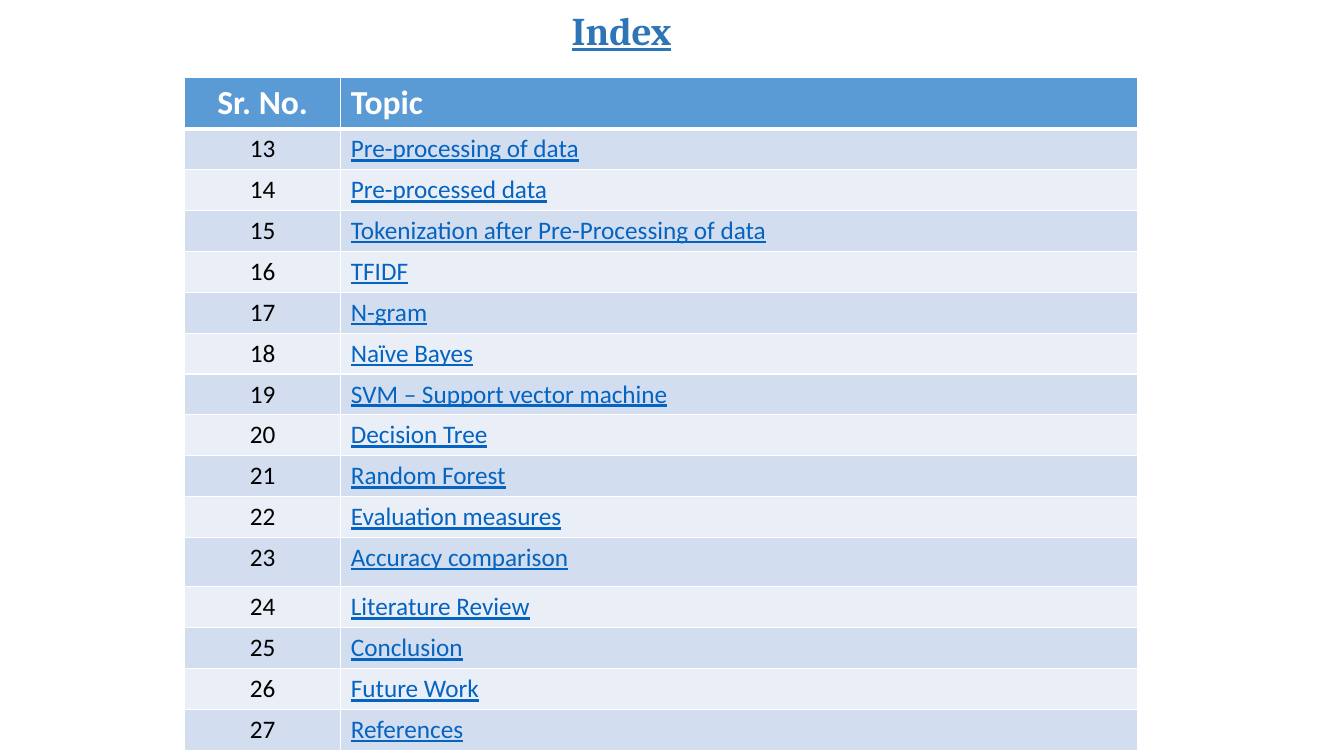
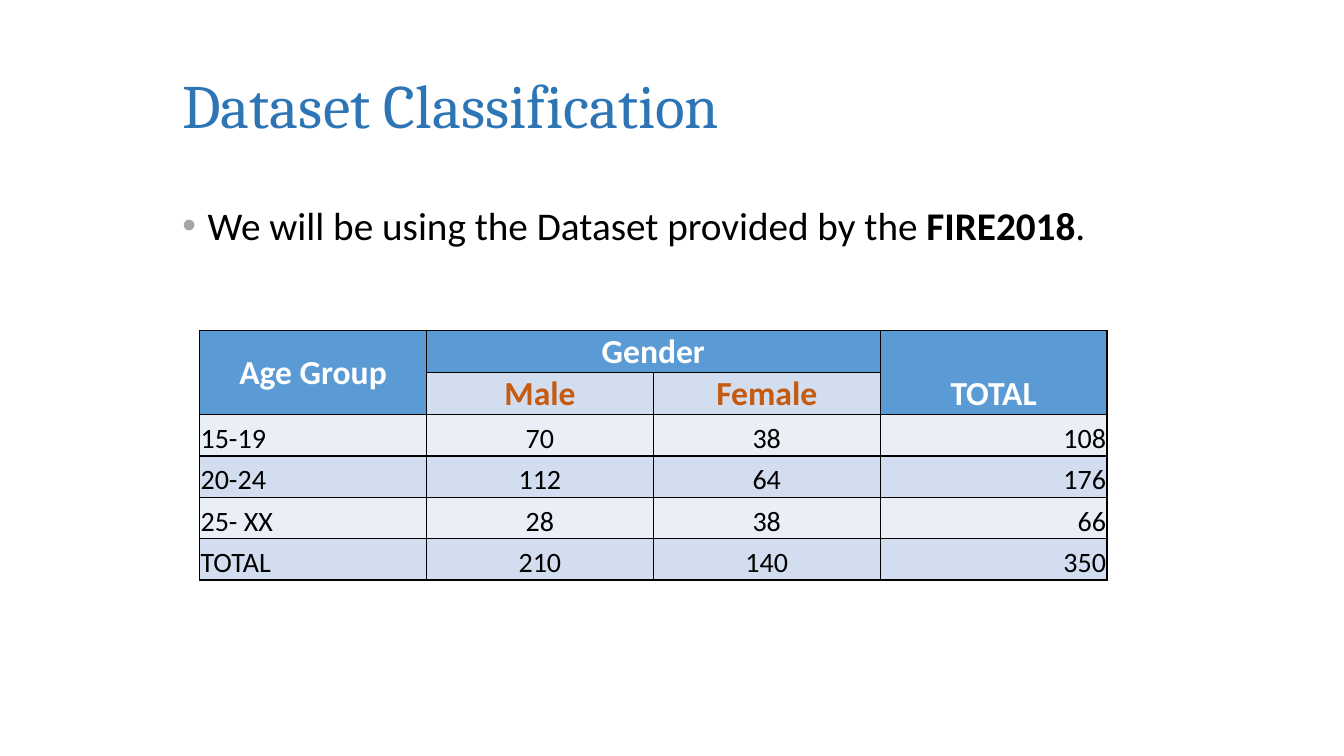
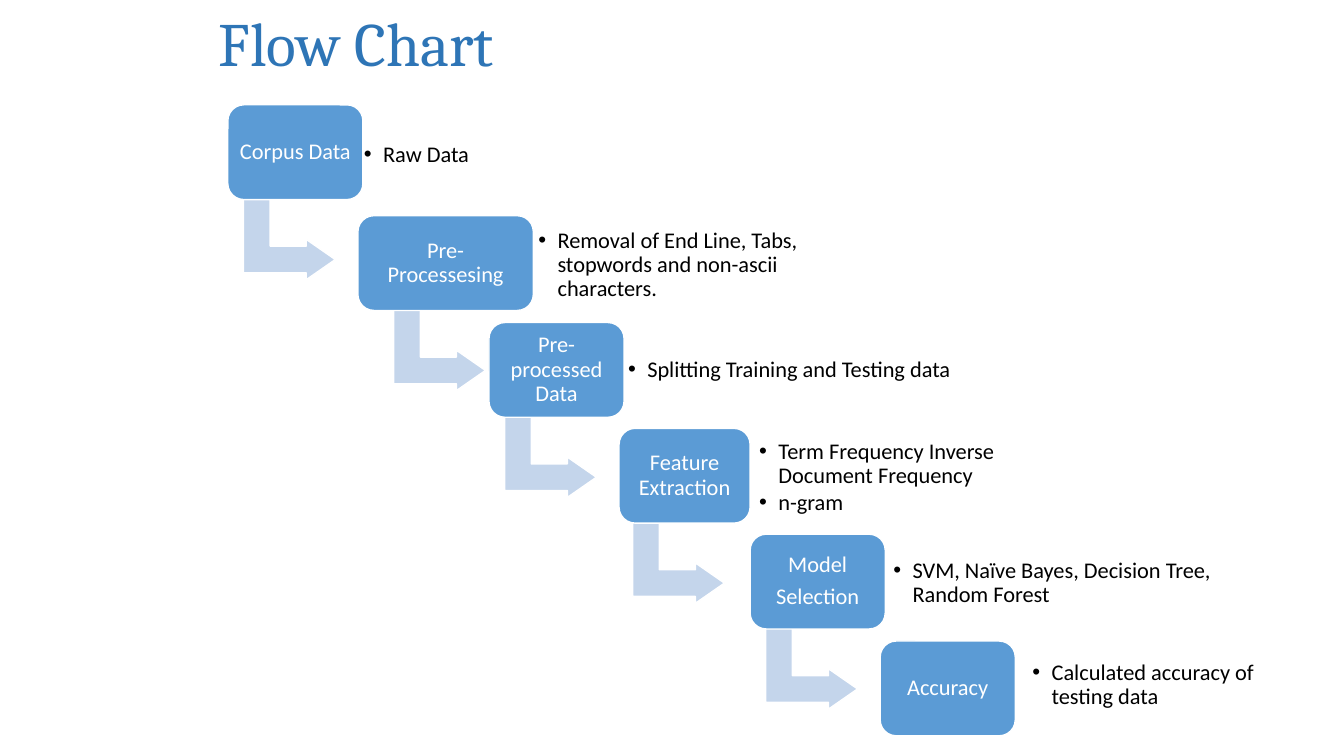
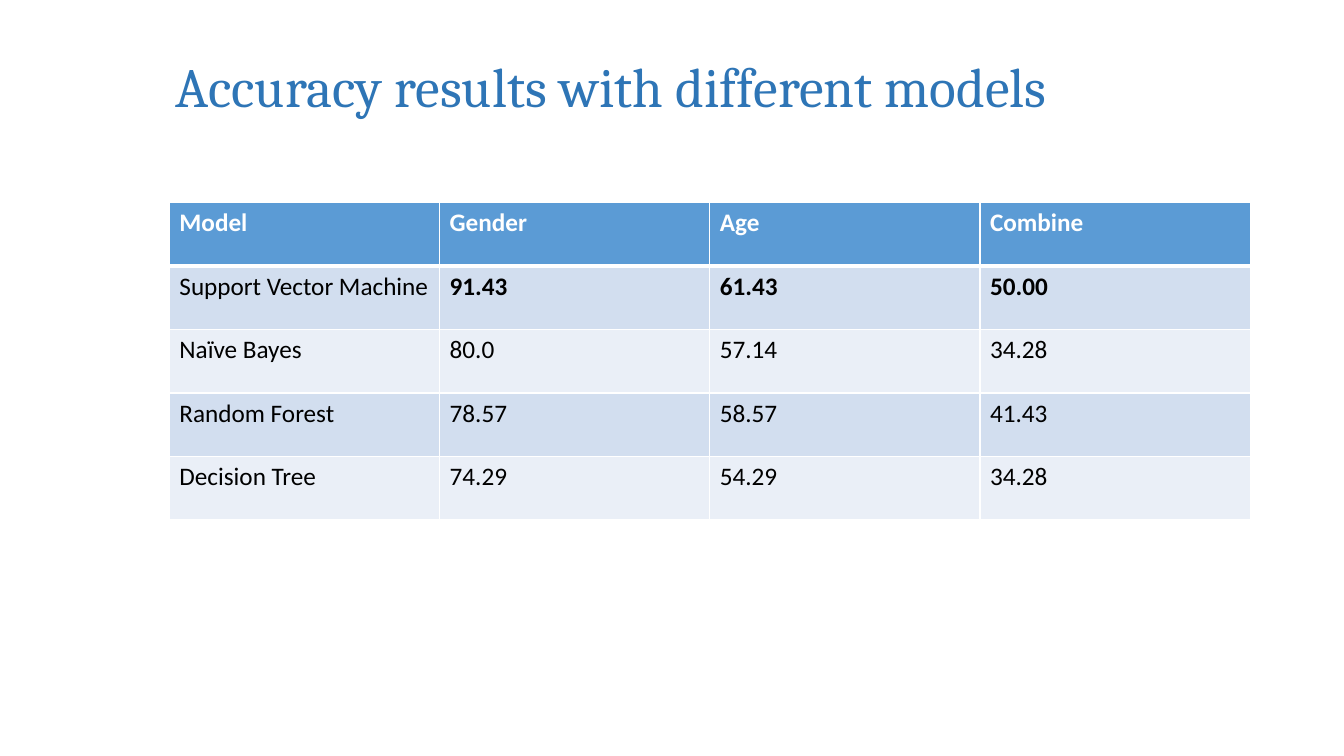
from dataclasses import dataclass

from lxml import etree
from pptx import Presentation
from pptx.dml.color import RGBColor
from pptx.enum.shapes import MSO_SHAPE
from pptx.enum.text import MSO_ANCHOR, MSO_AUTO_SIZE, PP_ALIGN
from pptx.oxml.ns import qn
from pptx.util import Emu, Pt

LEFT, CENTER, RIGHT = PP_ALIGN.LEFT, PP_ALIGN.CENTER, PP_ALIGN.RIGHT
TOP, MIDDLE, BOTTOM = MSO_ANCHOR.TOP, MSO_ANCHOR.MIDDLE, MSO_ANCHOR.BOTTOM
NO_FIT = MSO_AUTO_SIZE.NONE
ROUNDED, BENT_ARROW = MSO_SHAPE.ROUNDED_RECTANGLE, MSO_SHAPE.BENT_UP_ARROW
CONTENT_LAYOUT, TITLE_LAYOUT = 1, 5


@dataclass(frozen=True)
class Theme:
    heading_font: str = "Cambria"
    body_font: str = "Calibri"
    title: str = "2E75B6"
    accent: str = "5B9BD5"
    band_dark: str = "D2DEEF"
    band_light: str = "EAEFF7"
    arrow: str = "C4D5EB"
    entry: str = "0563C1"
    gender: str = "C55A11"
    bullet: str = "A5A5A5"
    text: str = "000000"
    white: str = "FFFFFF"
    title_size: float = 44
    index_title_size: float = 28
    long_title_size: float = 39.6
    body_size: float = 28
    head_size: float = 24
    count_size: float = 20
    cell_size: float = 18
    flow_size: float = 16


THEME = Theme()

# Content
FIRST_TOPIC = 13
TOPICS = [
    "Pre-processing of data", "Pre-processed data",
    "Tokenization after Pre-Processing of data", "TFIDF", "N-gram",
    "Naïve Bayes", "SVM – Support vector machine", "Decision Tree",
    "Random Forest", "Evaluation measures", "Accuracy comparison",
    "Literature Review", "Conclusion", "Future Work", "References",
]
TALL_TOPIC = "Accuracy comparison"

DATASET_NOTE = [("We will be using the Dataset provided by the ", False),
                ("FIRE2018", True), (".", False)]
DATASET = [
    ("Age Group", "Gender", "", "TOTAL"),
    ("", "Male", "Female", ""),
    ("15-19", "70", "38", "108"),
    ("20-24", "112", "64", "176"),
    ("25- XX", "28", "38", "66"),
    ("TOTAL", "210", "140", "350"),
]
DATASET_MERGES = [((0, 0), (1, 0)), ((0, 1), (0, 2)), ((0, 3), (1, 3))]

# Step label, box width, notes, place of the notes
FLOW = [
    (["Corpus Data"], 134, ["Raw Data"], (354, 100, 173, 108)),
    (["Pre-Processesing"], 174,
     ["Removal of End Line, Tabs, stopwords and non-ascii characters."],
     (527, 211, 287, 104)),
    (["Pre-processed Data"], 134, ["Splitting Training and Testing data"],
     (616, 329, 357, 76)),
    (["Feature Extraction"], 130,
     ["Term Frequency Inverse Document Frequency", "n-gram"],
     (746, 436, 299, 76)),
    (["Model", "Selection"], 134,
     ["SVM, Naïve Bayes, Decision Tree, Random Forest"],
     (879, 541, 348, 76)),
    (["Accuracy"], 134, ["Calculated accuracy of testing data"],
     (1017, 642, 261, 76)),
]

RESULTS = [
    ("Model", "Gender", "Age", "Combine"),
    ("Support Vector Machine", "91.43", "61.43", "50.00"),
    ("Naïve Bayes", "80.0", "57.14", "34.28"),
    ("Random Forest", "78.57", "58.57", "41.43"),
    ("Decision Tree", "74.29", "54.29", "34.28"),
]
BEST_ROW = 1


# Shared helpers
def px(length):
    """Hundredths of an inch to EMU."""
    return Emu(length * 9144)


def place(shape, left, top, width, height):
    shape.left, shape.top = px(left), px(top)
    shape.width, shape.height = px(width), px(height)


def style(span, size, color, font=THEME.body_font, bold=False, underline=False):
    span.font.name, span.font.size = font, Pt(size)
    span.font.color.rgb = RGBColor.from_string(color)
    span.font.bold, span.font.underline = bold, underline


def add_bullet(para, indent, color):
    props = para._p.get_or_add_pPr()
    props.set("marL", str(px(indent)))
    props.set("indent", str(-px(indent)))
    tint = etree.SubElement(props, qn("a:buClr"))
    etree.SubElement(tint, qn("a:srgbClr"), val=color)
    etree.SubElement(props, qn("a:buFont"), typeface="Arial")
    etree.SubElement(props, qn("a:buChar"), char="•")


def new_page(deck, title, at, size=THEME.title_size, layout=TITLE_LAYOUT,
             **look):
    page = deck.slides.add_slide(deck.slide_layouts[layout])
    place(page.shapes.title, *at)
    frame = page.shapes.title.text_frame
    frame.text = title
    frame.auto_size, frame.vertical_anchor = NO_FIT, MIDDLE
    para = frame.paragraphs[0]
    para.alignment, para.line_spacing = LEFT, 0.9
    style(para.runs[0], size, THEME.title, THEME.heading_font, **look)
    return page


def set_borders(cell, color, widths):
    props = cell._tc.get_or_add_tcPr()
    for position, (side, width) in enumerate(zip("LRTB", widths)):
        line = etree.Element(qn(f"a:ln{side}"), w=str(Pt(width)))
        fill = etree.SubElement(line, qn("a:solidFill"))
        etree.SubElement(fill, qn("a:srgbClr"), val=color)
        props.insert(position, line)


def band(row):
    return THEME.band_dark if row % 2 else THEME.band_light


def add_grid(page, left, top, widths, heights, rows, look, border=THEME.white,
             head_rule=3, insets=None, anchor=TOP):
    """look(row, column) gives fill, alignment and run style of a cell."""
    grid = page.shapes.add_table(len(rows), len(widths), px(left), px(top),
                                 px(sum(widths)), px(sum(heights))).table
    for column, width in zip(grid.columns, widths):
        column.width = px(width)
    for line, height in zip(grid.rows, heights):
        line.height = px(height)
    for r, row in enumerate(rows):
        for c, text in enumerate(row):
            cell = grid.cell(r, c)
            fill, align, run_style = look(r, c)
            cell.fill.solid()
            cell.fill.fore_color.rgb = RGBColor.from_string(fill)
            set_borders(cell, border, (1, 1, head_rule if r == 1 else 1,
                                       head_rule if r == 0 else 1))
            cell.vertical_anchor = anchor
            if insets:
                (cell.margin_left, cell.margin_top, cell.margin_right,
                 cell.margin_bottom) = map(px, insets)
            if text:
                para = cell.text_frame.paragraphs[0]
                para.text, para.alignment = text, align
                style(para.runs[0], **run_style)
    return grid


def write_flow_text(shape, lines, color, align, space_after, bullet=False):
    frame = shape.text_frame
    frame.word_wrap, frame.vertical_anchor = True, MIDDLE
    frame.margin_left = frame.margin_right = px(7)
    frame.margin_top = frame.margin_bottom = px(7)
    frame.text = "\n".join(lines)
    for para in frame.paragraphs:
        if bullet:
            add_bullet(para, 19, color)
        para.alignment, para.line_spacing = align, 0.9
        para.space_after = Pt(space_after)
        style(para.runs[0], THEME.flow_size, color)


def add_block(page, kind, at, fill, adjustments):
    block = page.shapes.add_shape(kind, *map(px, at))
    block.shadow.inherit = False
    block.fill.solid()
    block.fill.fore_color.rgb = RGBColor.from_string(fill)
    block.line.color.rgb = RGBColor.from_string(THEME.white)
    block.line.width = Pt(1)
    for number, value in enumerate(adjustments):
        block.adjustments[number] = value
    return block


# Slides
def index_page(deck):
    page = new_page(deck, "Index", (557, 0, 132, 65), THEME.index_title_size,
                    bold=True, underline=True)

    def look(row, column):
        align = LEFT if column else CENTER
        if row == 0:
            return THEME.accent, align, dict(size=THEME.head_size,
                                             color=THEME.white, bold=True)
        color = THEME.entry if column else THEME.text
        return band(row), align, dict(size=THEME.cell_size, color=color,
                                      underline=bool(column))

    rows = [("Sr. No.", "Topic")]
    rows += [(str(n), topic) for n, topic in enumerate(TOPICS, FIRST_TOPIC)]
    heights = [47] + [49 if topic == TALL_TOPIC else 40 for topic in TOPICS]
    add_grid(page, 183, 77, [155, 790], heights, rows, look)


def dataset_page(deck):
    page = new_page(deck, "Dataset Classification", (171, 35, 988, 145),
                    layout=CONTENT_LAYOUT)
    body = page.placeholders[1]
    place(body, 171, 200, 1071, 476)
    body.text_frame.auto_size = NO_FIT
    para = body.text_frame.paragraphs[0]
    add_bullet(para, 25, THEME.bullet)
    para.line_spacing, para.space_before = 0.9, Pt(0)
    for text, bold in DATASET_NOTE:
        span = para.add_run()
        span.text = text
        style(span, THEME.body_size, THEME.text, bold=bold)

    def look(row, column):
        if row == 0 or (row == 1 and column in (0, 3)):
            return THEME.accent, CENTER, dict(size=THEME.head_size,
                                              color=THEME.white, bold=True)
        if row == 1:
            return band(row), CENTER, dict(size=THEME.head_size,
                                           color=THEME.gender, bold=True)
        align = (LEFT, CENTER, CENTER, RIGHT)[column]
        return band(row), align, dict(size=THEME.count_size, color=THEME.text)

    grid = add_grid(page, 198, 328, [225] * 4, [41] * 6, DATASET, look,
                    THEME.text, 1, (1, 1, 1, 0), BOTTOM)
    for first, last in DATASET_MERGES:
        grid.cell(*first).merge(grid.cell(*last))
    grid.cell(0, 0).vertical_anchor = MIDDLE


def flow_page(deck):
    page = new_page(deck, "Flow Chart", (207, 0, 988, 93))
    for step, (label, width, notes, notes_at) in enumerate(FLOW):
        left = round(226 + 129.4 * step)
        top = round(108.5 + 105.5 * step) if step else 104
        if step < len(FLOW) - 1:
            arrow_left = left + 21 + (width - 134) // 2
            arrow = add_block(page, BENT_ARROW, (arrow_left, top + 88, 80, 91),
                              THEME.arrow, (0.33, 0.25, 0.36))
            arrow.rotation = 90
        box = add_block(page, ROUNDED, (left, top, width, 94), THEME.accent,
                        (0.17,))
        write_flow_text(box, label, THEME.white, CENTER, 5.6)
        remark = page.shapes.add_textbox(*map(px, notes_at))
        write_flow_text(remark, notes, THEME.text, LEFT, 2.4, bullet=True)


def results_page(deck):
    page = new_page(deck, "Accuracy results with different models",
                    (164, 16, 988, 145), THEME.long_title_size)

    def look(row, column):
        if row == 0:
            return THEME.accent, LEFT, dict(size=THEME.cell_size,
                                            color=THEME.white, bold=True)
        return band(row), LEFT, dict(size=THEME.cell_size, color=THEME.text,
                                     bold=row == BEST_ROW and column > 0)

    add_grid(page, 168, 201, [268] * 4, [63] * 5, RESULTS, look)


def main():
    deck = Presentation()
    deck.slide_width, deck.slide_height = px(1333), px(750)
    for build in (index_page, dataset_page, flow_page, results_page):
        build(deck)
    deck.save("out.pptx")


if __name__ == "__main__":
    main()
